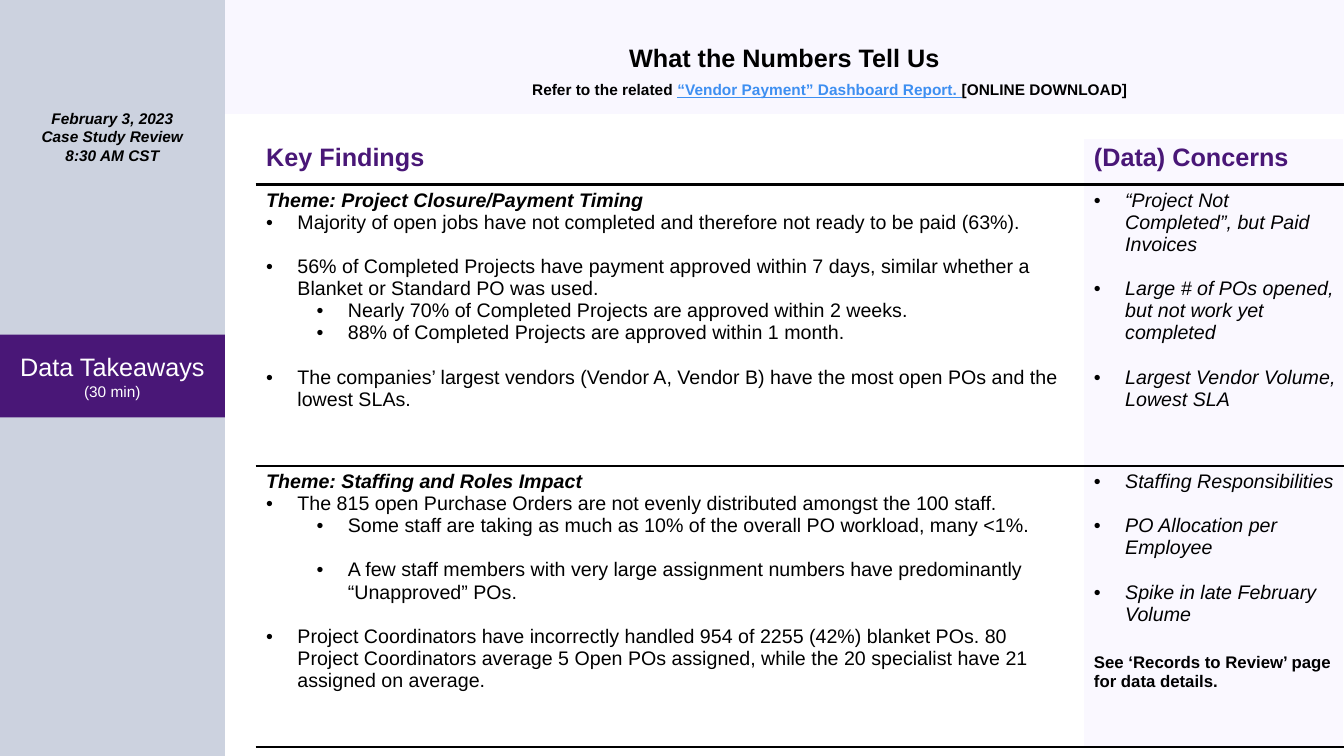
import pptx
import pptx.dml.color
import pptx.enum.shapes
import pptx.enum.text
import pptx.oxml.ns
import pptx.util
from lxml import etree
from pptx.util import Inches

COLORS = {
    "purple": "491777",
    "navy": "002060",
    "lavender": "E4DBFF",
    "concerns": "FAF8FF",
    "link": "3E8FF1",
    "black": "000000",
    "white": "FFFFFF",
}
FONT = "Arial"
CENTER = pptx.enum.text.PP_ALIGN.CENTER
MIDDLE = pptx.enum.text.MSO_ANCHOR.MIDDLE
LINE_GAP = 16
BULLET_HANG = 0.31

# Each entry: kind, text, space before in points
HEADINGS = ["Key Findings", "(Data) Concerns"]
FINDINGS = [
    [
        ("theme", "Theme: Project Closure/Payment Timing", 0),
        ("bullet", "Majority of open jobs have not completed and therefore not ready to be paid (63%).", 0),
        ("bullet", "56% of Completed Projects have payment approved within 7 days, similar whether a "
                   "Blanket or Standard PO was used.", LINE_GAP),
        ("sub-bullet", "Nearly 70% of Completed Projects are approved within 2 weeks.", 0),
        ("sub-bullet", "88% of Completed Projects are approved within 1 month.", 0),
        ("bullet", "The companies’ largest vendors (Vendor A, Vendor B) have the most open POs and the "
                   "lowest SLAs.", LINE_GAP),
    ],
    [
        ("theme", "Theme: Staffing and Roles Impact", 0),
        ("bullet", "The 815 open Purchase Orders are not evenly distributed amongst the 100 staff.", 0),
        ("sub-bullet", "Some staff are taking as much as 10% of the overall PO workload, many <1%.", 0),
        ("sub-bullet", "A few staff members with very large assignment numbers have predominantly "
                       "“Unapproved” POs.", LINE_GAP),
        ("bullet", "Project Coordinators have incorrectly handled 954 of 2255 (42%) blanket POs. 80 "
                   "Project Coordinators average 5 Open POs assigned, while the 20 specialist have 21 "
                   "assigned on average.", LINE_GAP),
    ],
]
CONCERNS = [
    [
        ("concern", "“Project Not Completed”, but Paid Invoices", 0),
        ("concern", "Large # of POs opened, but not work yet completed", LINE_GAP),
        ("concern", "Largest Vendor Volume, Lowest SLA", LINE_GAP),
    ],
    [
        ("concern", "Staffing Responsibilities", 0),
        ("concern", "PO Allocation per Employee", LINE_GAP),
        ("concern", "Spike in late February Volume", LINE_GAP),
        ("note", "See ‘Records to Review’ page for data details.", 20),
    ],
]
FORMATS = {
    "heading": dict(size=18, bold=True, color="purple"),
    "theme": dict(size=14, bold=True, italic=True),
    "bullet": dict(size=14),
    "sub-bullet": dict(size=14),
    "concern": dict(size=14, italic=True),
    "note": dict(size=12, bold=True),
}
BULLET_LEVELS = {"bullet": 0, "sub-bullet": 1, "concern": 0}


def rgb(name):
    return pptx.dml.color.RGBColor.from_string(COLORS[name])


def add_text(paragraph, text, size, color="black", bold=False, italic=False, underline=False):
    run = paragraph.add_run()
    run.text = text
    font = run.font
    font.name = FONT
    font.size = pptx.util.Pt(size)
    font.bold, font.italic, font.underline = bold, italic, underline
    font.color.rgb = rgb(color)


def next_paragraph(text_frame):
    """Return the first paragraph while it is empty, otherwise a new one."""
    first = text_frame.paragraphs[0]
    return text_frame.add_paragraph() if first.runs else first


def fill_shape(shape, color, opacity=100):
    shape.fill.solid()
    shape.fill.fore_color.rgb = rgb(color)
    if opacity < 100:
        color_element = shape.fill._xPr.find(".//" + pptx.oxml.ns.qn("a:srgbClr"))
        alpha = etree.SubElement(color_element, pptx.oxml.ns.qn("a:alpha"))
        alpha.set("val", str(opacity * 1000))


def add_panel(slide, left, top, width, height, color, opacity=100):
    shape = slide.shapes.add_shape(
        pptx.enum.shapes.MSO_SHAPE.RECTANGLE,
        Inches(left), Inches(top), Inches(width), Inches(height))
    shape.shadow.inherit = False
    shape.line.fill.background()
    fill_shape(shape, color, opacity)
    shape.text_frame.vertical_anchor = MIDDLE
    return shape


def add_text_box(slide, left, top, width, height):
    box = slide.shapes.add_textbox(Inches(left), Inches(top), Inches(width), Inches(height))
    box.text_frame.word_wrap = False
    return box.text_frame


def set_bullet(paragraph, level):
    paragraph.level = level
    properties = paragraph._p.get_or_add_pPr()
    properties.set("marL", str(Inches(BULLET_HANG + 0.5 * level)))
    properties.set("indent", str(Inches(-BULLET_HANG)))
    etree.SubElement(properties, pptx.oxml.ns.qn("a:buFont")).set("typeface", FONT)
    etree.SubElement(properties, pptx.oxml.ns.qn("a:buChar")).set("char", "•")


def set_borders(cell, top, bottom):
    """Draw white sides; top and bottom are (color, points)."""
    properties = cell._tc.get_or_add_tcPr()
    side = ("white", 1)
    borders = {"lnL": side, "lnR": side, "lnT": top, "lnB": bottom}
    for position, (tag, (color, points)) in enumerate(borders.items()):
        line = etree.Element(pptx.oxml.ns.qn("a:" + tag), w=str(pptx.util.Pt(points)))
        solid = etree.SubElement(line, pptx.oxml.ns.qn("a:solidFill"))
        etree.SubElement(solid, pptx.oxml.ns.qn("a:srgbClr"), val=COLORS[color])
        properties.insert(position, line)


def write_cell(cell, entries):
    for kind, text, gap in entries:
        paragraph = next_paragraph(cell.text_frame)
        paragraph.space_before = pptx.util.Pt(gap)
        if kind in BULLET_LEVELS:
            set_bullet(paragraph, BULLET_LEVELS[kind])
        add_text(paragraph, text, **FORMATS[kind])


def add_findings_table(slide):
    header = [[("heading", heading, 0)] for heading in HEADINGS]
    rows = [header, *zip(FINDINGS, CONCERNS)]
    rules = [("white", 1), ("black", 3), ("black", 1.5), ("black", 1.5)]
    table = slide.shapes.add_table(
        len(rows), 2, Inches(2.54), Inches(1.37), Inches(10.79), Inches(6.04)).table
    table.first_row = table.horz_banding = False
    for column, width in zip(table.columns, (8.21, 2.58)):
        column.width = Inches(width)
    for row, height in zip(table.rows, (0.46, 2.79, 2.79)):
        row.height = Inches(height)
    for row_index, contents in enumerate(rows):
        for column_index, entries in enumerate(contents):
            cell = table.cell(row_index, column_index)
            if column_index == 0:
                cell.fill.background()
            else:
                fill_shape(cell, "concerns")
                cell.margin_right = Inches(0.08)
            set_borders(cell, rules[row_index], rules[row_index + 1])
            write_cell(cell, entries)


def format_title(slide):
    title = slide.shapes.title
    title.left, title.top = Inches(2.23), Inches(0)
    title.width, title.height = Inches(11.1), Inches(1.13)
    fill_shape(title, "lavender", opacity=20)
    title.text_frame.auto_size = pptx.enum.text.MSO_AUTO_SIZE.NONE
    title.text_frame.vertical_anchor = MIDDLE
    paragraph = title.text_frame.paragraphs[0]
    paragraph.alignment = CENTER
    add_text(paragraph, "What the Numbers Tell Us", size=18, bold=True)


def add_sidebar(slide):
    add_panel(slide, 0, 0, 2.23, 7.5, "navy", opacity=20)
    section = add_panel(slide, 0, 3.32, 2.23, 0.82, "purple").text_frame
    for text, size in (("Data Takeaways", 18), ("(30 min)", 11)):
        paragraph = next_paragraph(section)
        paragraph.alignment = CENTER
        add_text(paragraph, text, size=size, color="white")
    meeting = add_text_box(slide, 0.31, 1.03, 1.61, 0.78)
    for text in ("February 3, 2023", "Case Study Review", "8:30 AM CST"):
        paragraph = next_paragraph(meeting)
        paragraph.alignment = CENTER
        add_text(paragraph, text, size=11, bold=True, italic=True)


def add_report_reference(slide):
    paragraph = add_text_box(slide, 5.18, 0.75, 6.16, 0.29).paragraphs[0]
    add_text(paragraph, "Refer to the related ", size=11, bold=True)
    add_text(paragraph, "“Vendor Payment” Dashboard Report. ", size=11, color="link",
             bold=True, underline=True)
    add_text(paragraph, "[ONLINE DOWNLOAD]", size=11, bold=True)


def main():
    presentation = pptx.Presentation()
    presentation.slide_width, presentation.slide_height = Inches(13.33), Inches(7.5)
    slide = presentation.slides.add_slide(presentation.slide_layouts.get_by_name("Title Only"))
    format_title(slide)
    add_sidebar(slide)
    add_findings_table(slide)
    add_report_reference(slide)
    presentation.save("out.pptx")


if __name__ == "__main__":
    main()
